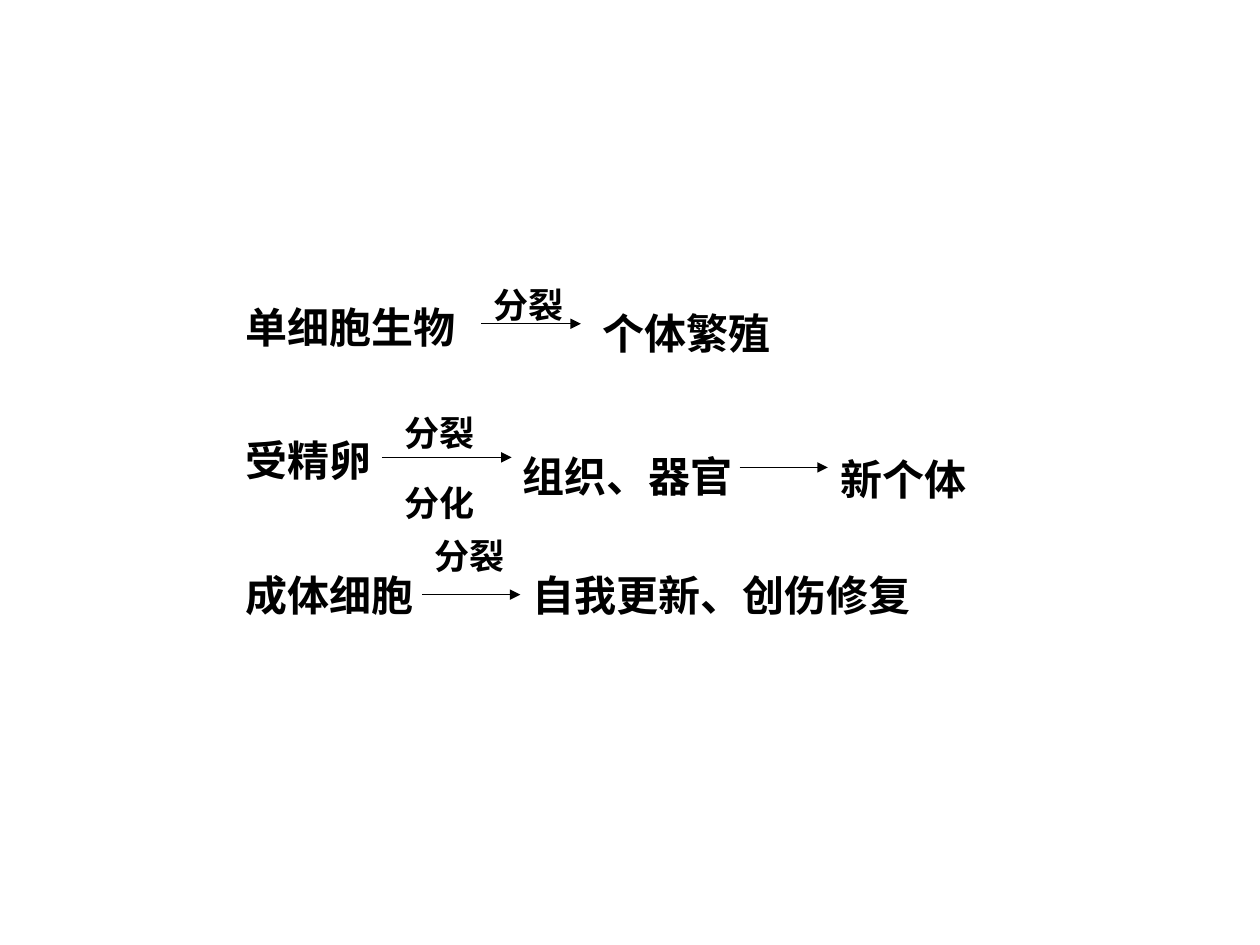
from lxml import etree
from pptx import Presentation
from pptx.dml.color import RGBColor
from pptx.enum.shapes import MSO_CONNECTOR
from pptx.enum.text import MSO_ANCHOR, MSO_AUTO_SIZE, PP_ALIGN
from pptx.oxml.ns import qn
from pptx.util import Inches, Pt

STRAIGHT = MSO_CONNECTOR.STRAIGHT
TOP, MIDDLE = MSO_ANCHOR.TOP, MSO_ANCHOR.MIDDLE
LEFT, JUSTIFY = PP_ALIGN.LEFT, PP_ALIGN.JUSTIFY
GROW = MSO_AUTO_SIZE.SHAPE_TO_FIT_TEXT
FONT, BLACK = "Noto Sans CJK SC", "000000"
STEP, NOTE = 24, 20  # text sizes
MID = dict(wrap=False, anchor=MIDDLE, align=JUSTIFY)

# Each row: texts (words, box, size, format), then arrows
# (start x, end x, y, index of the text joined at its left side)
ROWS = [
    dict(  # single-celled life
        texts=[("单细胞生物", (1.85, 2.22, 1.88, 0.62), STEP, MID),
               ("分裂", (3.82, 2.1, 0.79, 0.54), NOTE, {}),
               ("个体繁殖", (4.68, 2.27, 1.55, 0.62), STEP, MID)],
        arrows=[(3.82, 4.61, 2.57, None)]),
    dict(  # fertilised egg
        texts=[("受精卵", (1.85, 3.28, 1.21, 0.62), STEP, dict(wrap=False)),
               ("分裂", (3.11, 3.12, 0.79, 0.54), NOTE, {}),
               ("分化", (3.11, 3.67, 0.79, 0.54), NOTE, {}),
               ("组织、器官", (4.05, 3.41, 1.97, 0.63), STEP, {}),
               ("新个体", (6.57, 3.43, 1.34, 0.63), STEP, {})],
        arrows=[(3.03, 4.06, 3.63, None), (5.87, 6.57, 3.71, None)]),
    dict(  # adult cells
        texts=[("成体细胞", (1.85, 4.47, 1.65, 0.5), STEP, dict(space=1)),
               ("分裂", (3.35, 4.19, 0.79, 0.44), NOTE, dict(space=1)),
               ("自我更新、创伤修复", (4.13, 4.47, 3.23, 0.5), STEP,
                dict(space=1))],
        arrows=[(3.35, 4.13, 4.72, 2)]),
]


def color(code):
    return RGBColor.from_string(code)


def add_text(slide, text, box, size, wrap=True, anchor=TOP, align=LEFT,
             space=1.3):
    shape = slide.shapes.add_textbox(*map(Inches, box))
    frame = shape.text_frame
    frame.word_wrap = wrap
    frame.auto_size = GROW
    frame.vertical_anchor = anchor
    para = frame.paragraphs[0]
    para.alignment = align
    para.line_spacing = space
    run = para.add_run()
    run.text = text
    font = run.font
    font.size, font.bold, font.name = Pt(size), True, FONT
    font.color.rgb = color(BLACK)
    # East Asian typeface
    etree.SubElement(run._r.get_or_add_rPr(), qn("a:ea"), typeface=FONT)
    return shape


def add_arrow(slide, left, right, y, goal=None):
    line = slide.shapes.add_connector(
        STRAIGHT, Inches(left), Inches(y), Inches(right), Inches(y))
    if goal is not None:
        line.end_connect(goal, 1)
    line.line.color.rgb = color(BLACK)
    line.line.width = Pt(0.75)
    etree.SubElement(line.line._get_or_add_ln(), qn("a:tailEnd"),
                     type="triangle")
    etree.SubElement(line._element.spPr, qn("a:effectLst"))


def main():
    deck = Presentation()
    deck.slide_width, deck.slide_height = Inches(10), Inches(7.5)
    slide = deck.slides.add_slide(deck.slide_layouts[6])
    for row in ROWS:
        boxes = [add_text(slide, text, box, size, **form)
                 for text, box, size, form in row["texts"]]
        for left, right, y, goal in row["arrows"]:
            add_arrow(slide, left, right, y,
                      None if goal is None else boxes[goal])
    deck.save("out.pptx")


if __name__ == "__main__":
    main()
